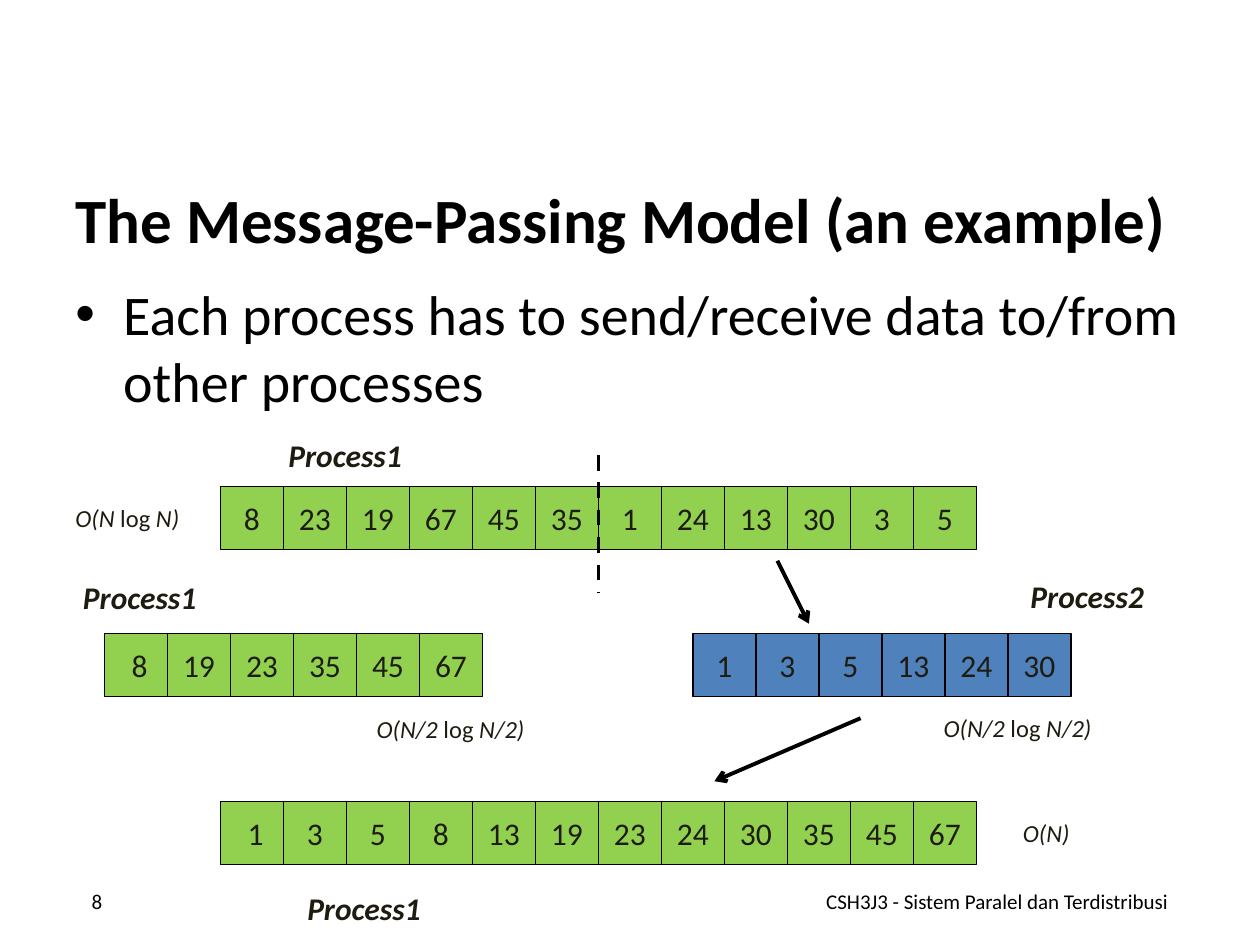
"""Build the slide on the message-passing model, with a sort split over two processes."""
from dataclasses import dataclass
from typing import Any

from lxml.etree import SubElement
from pptx import Presentation
from pptx.dml.color import RGBColor
from pptx.enum.dml import MSO_LINE
from pptx.enum.shapes import MSO_CONNECTOR, MSO_SHAPE
from pptx.enum.text import MSO_ANCHOR, PP_ALIGN
from pptx.oxml.ns import qn
from pptx.util import Inches, Pt


@dataclass(frozen=True)
class Theme:
    font: str = "Calibri"
    black: RGBColor = RGBColor.from_string("000000")
    ink: RGBColor = RGBColor.from_string("1E1C11")
    green: RGBColor = RGBColor.from_string("92D050")
    blue: RGBColor = RGBColor.from_string("4F81BD")
    title: int = 36
    body: int = 32
    label: int = 18
    cost: int = 14
    footer: int = 12
    cell_line: float = 0.75
    line: float = 2.25


@dataclass(frozen=True)
class Row:
    left: float
    top: float
    fill: RGBColor
    values: tuple[str, ...]


@dataclass(frozen=True)
class Label:
    text: str
    left: float
    top: float
    width: float


@dataclass(frozen=True)
class Line:
    start: tuple[float, float]
    end: tuple[float, float]
    dashed: bool = False


THEME = Theme()
CELL = 0.5
ROWS = [
    Row(1.75, 3.86, THEME.green,
        ("8", "23", "19", "67", "45", "35", "1", "24", "13", "30", "3", "5")),
    Row(0.83, 5.03, THEME.green, (" 8", "19", "23", "35", "45", "67")),
    Row(5.5, 5.03, THEME.blue, ("1", "3", "5", "13", "24", "30")),
    Row(1.75, 6.36, THEME.green,
        (" 1", "3", "5", "8", "13", "19", "23", "24", "30", "35", "45", "67")),
]
LINES = [
    Line((6.17, 4.45), (6.42, 4.95)),
    Line((4.75, 3.61), (4.75, 4.7), dashed=True),
    Line((6.83, 5.7), (5.67, 6.2)),
]
PROCESSES = [
    Label("Process1", 2.19, 3.41, 1.11),
    Label("Process1", 0.56, 4.54, 1.11),
    Label("Process2", 8.08, 4.53, 1.11),
    Label("Process1", 2.34, 7.01, 1.11),
]
COSTS = [
    Label("O(N log N)", 0.5, 3.94, 1.03),
    Label("O(N/2 log N/2)", 2.89, 5.62, 1.38),
    Label("O(N/2 log N/2)", 7.39, 5.61, 1.38),
    Label("O(N)", 8.02, 6.44, 0.58),
]


def set_format(target: Any, values: dict[str, Any]) -> None:
    for name, value in values.items():
        setattr(target, name, value)


def add_run(p: Any, text: str, size: int, color: RGBColor, **style: bool) -> None:
    r = p.add_run()
    r.text = text
    set_format(r.font, {"name": THEME.font, "size": Pt(size), **style})
    r.font.color.rgb = color


def add_box(s: Any, left: float, top: float, width: float, height: float,
            **frame: Any) -> Any:
    sp = s.shapes.add_textbox(Inches(left), Inches(top), Inches(width), Inches(height))
    set_format(sp.text_frame, {"word_wrap": True, **frame})
    return sp.text_frame.paragraphs[0]


def add_bullet(p: Any, indent: float) -> None:
    pPr = p._p.get_or_add_pPr()
    pPr.set("marL", str(Inches(indent)))
    pPr.set("indent", str(-Inches(indent)))
    SubElement(pPr, qn("a:buFont"), typeface="Arial")
    SubElement(pPr, qn("a:buChar"), char="•")


def add_row(s: Any, row: Row) -> None:
    for i, value in enumerate(row.values):
        sp = s.shapes.add_shape(MSO_SHAPE.RECTANGLE, Inches(row.left + i * CELL),
                                Inches(row.top), Inches(CELL), Inches(CELL))
        sp.shadow.inherit = False
        sp.fill.solid()
        sp.fill.fore_color.rgb = row.fill
        sp.line.color.rgb = THEME.black
        sp.line.width = Pt(THEME.cell_line)
        sp.text_frame.vertical_anchor = MSO_ANCHOR.MIDDLE
        p = sp.text_frame.paragraphs[0]
        p.alignment = PP_ALIGN.CENTER
        add_run(p, value, THEME.label, THEME.ink)


def add_line(s: Any, line: Line) -> None:
    ends = [Inches(v) for v in (*line.start, *line.end)]
    sp = s.shapes.add_connector(MSO_CONNECTOR.STRAIGHT, *ends)
    sp.line.color.rgb = THEME.black
    sp.line.width = Pt(THEME.line)
    if line.dashed:
        sp.line.dash_style = MSO_LINE.DASH
    else:
        SubElement(sp.line._get_or_add_ln(), qn("a:tailEnd"), type="arrow")
    SubElement(sp._element.spPr, qn("a:effectLst"))


def add_process(s: Any, label: Label) -> None:
    p = add_box(s, label.left, label.top, label.width, 0.4, word_wrap=False)
    add_run(p, label.text, THEME.label, THEME.ink, bold=True, italic=True)


def add_cost(s: Any, label: Label) -> None:
    p = add_box(s, label.left, label.top, label.width, 0.34, word_wrap=False)
    before, log, after = label.text.partition("log")
    for text, italic in ((before, True), (log, False), (after, True)):
        if text:
            add_run(p, text, THEME.cost, THEME.ink, italic=italic)


def add_texts(s: Any) -> None:
    middle = {"vertical_anchor": MSO_ANCHOR.MIDDLE}
    p = add_box(s, 0.5, 1.42, 9, 0.63, **middle)
    add_run(p, "The Message-Passing Model (an example)", THEME.title, THEME.black, bold=True)
    p = add_box(s, 0.5, 2.17, 9, 4.53)
    add_bullet(p, 0.38)
    add_run(p, "Each process has to send/receive data to/from other processes",
            THEME.body, THEME.black)
    p = add_box(s, 6.33, 6.95, 3.17, 0.4, **middle)
    p.alignment = PP_ALIGN.CENTER
    add_run(p, "CSH3J3 - Sistem Paralel dan Terdistribusi", THEME.footer, THEME.black)
    p = add_box(s, 0.33, 6.95, 0.58, 0.4, **middle)
    p.alignment = PP_ALIGN.RIGHT
    add_run(p, "8", THEME.footer, THEME.black)


def main() -> None:
    prs = Presentation()
    set_format(prs, {"slide_width": Inches(10), "slide_height": Inches(7.5)})
    s = prs.slides.add_slide(prs.slide_layouts[6])
    add_texts(s)
    for items, draw in ((ROWS, add_row), (LINES, add_line),
                        (PROCESSES, add_process), (COSTS, add_cost)):
        for item in items:
            draw(s, item)
    prs.save("out.pptx")


if __name__ == "__main__":
    main()
